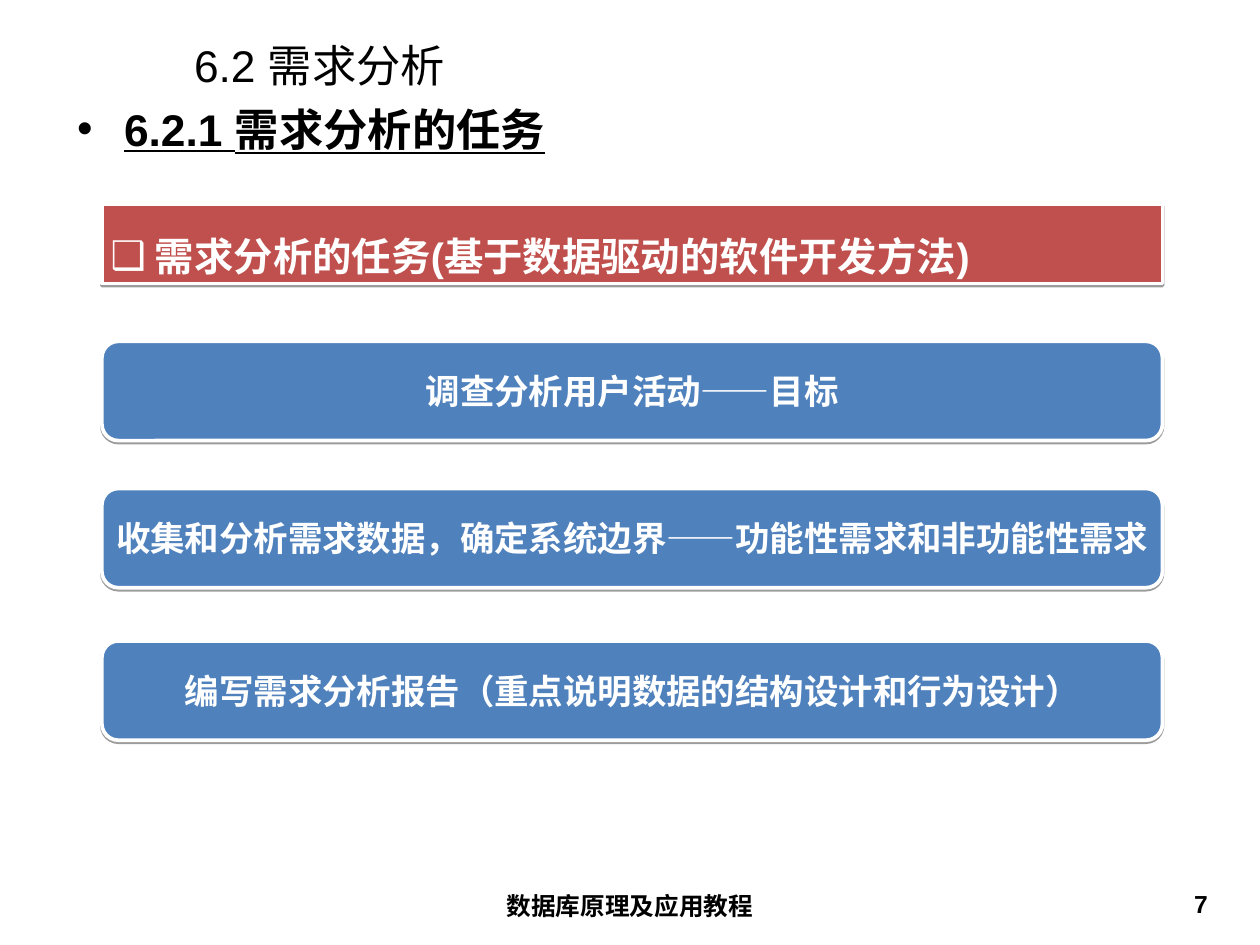
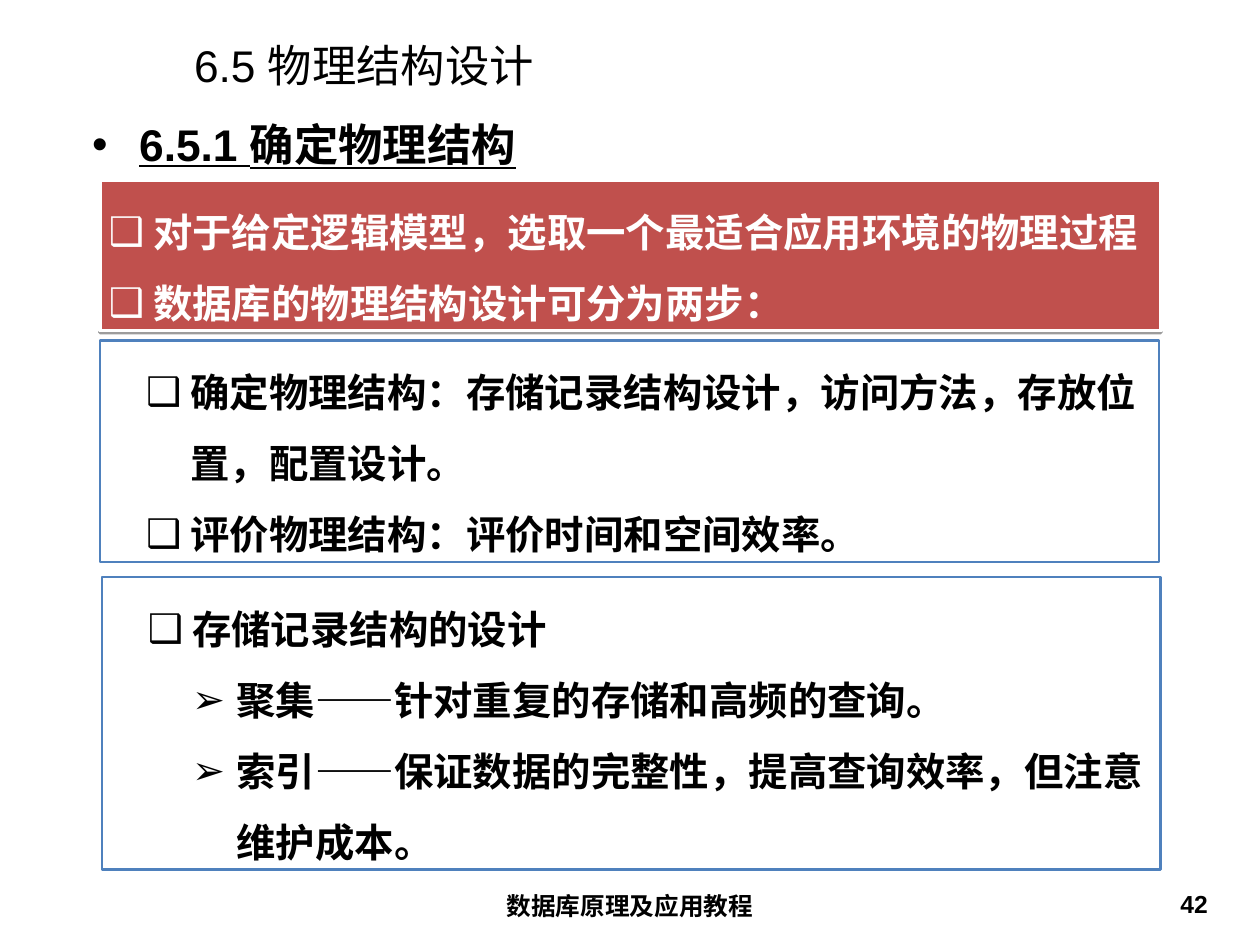
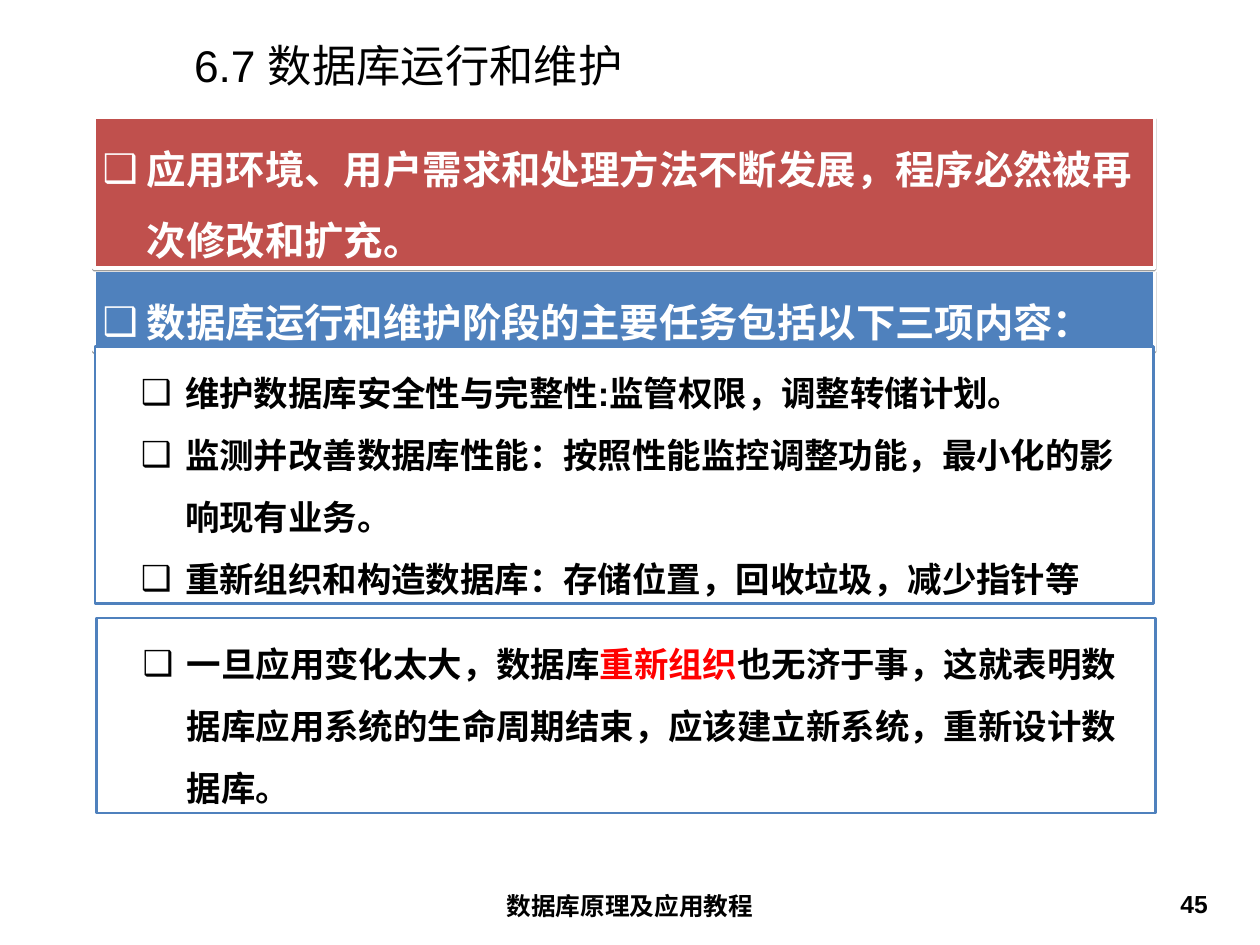
import pptx
import pptx.util
import pptx.dml.color
import pptx.enum.shapes
import pptx.enum.text
import pptx.oxml
from pptx.oxml.ns import nsdecls

Inches = pptx.util.Inches
Pt = pptx.util.Pt
Shape = pptx.enum.shapes.MSO_SHAPE
Align = pptx.enum.text.PP_ALIGN
Anchor = pptx.enum.text.MSO_ANCHOR

BLACK, WHITE = "000000", "FFFFFF"
RED, BLUE, ALERT = "C0504D", "4F81BD", "FF0000"
FOOTER = "数据库原理及应用教程"


def tint(color, code):
    color.rgb = pptx.dml.color.RGBColor.from_string(code)


def write(frame, lines, size, code=BLACK, bold=True, pad=0.1, align=Align.LEFT,
          anchor=Anchor.TOP, wrap=True, space=1, marks="", indents=(), hang=0.5):
    frame.auto_size = pptx.enum.text.MSO_AUTO_SIZE.NONE
    frame.word_wrap = wrap
    frame.vertical_anchor = anchor
    frame.margin_left = frame.margin_right = Inches(pad)
    frame.margin_top = frame.margin_bottom = Inches(pad / 2)
    for index, (level, text) in enumerate(lines):
        para = frame.paragraphs[0] if index == 0 else frame.add_paragraph()
        para.level = level
        para.alignment = align
        para.line_spacing = space
        para.space_before = Pt(0)
        if marks:
            props = para._p.get_or_add_pPr()
            props.set("marL", str(Inches(indents[level])))
            props.set("indent", str(-Inches(hang)))
            for tag in (
                f'<a:buClr {nsdecls("a")}><a:srgbClr val="{code}"/></a:buClr>',
                f'<a:buFont {nsdecls("a")} typeface="Arial"/>',
                f'<a:buChar {nsdecls("a")} char="{marks[level]}"/>',
            ):
                props.append(pptx.oxml.parse_xml(tag))
        font = para.font
        font.name, font.size, font.bold = "Arial", Pt(size), bold
        tint(font.color, code)
        for turn, part in enumerate(text.split("*")):
            run = para.add_run()
            run.text = part
            if turn % 2:
                tint(run.font.color, ALERT)


bars = dict(code=WHITE, space=1.5, marks="❑", indents=(0.5,))
panels = dict(space=1.5, marks="❑➢", indents=(0.92, 1.42))
pills = dict(code=WHITE, pad=0.14, align=Align.CENTER, anchor=Anchor.MIDDLE, wrap=False)
styles = {
    "red": (Shape.RECTANGLE, 11.97, RED, WHITE, 3, bars),
    "blue": (Shape.RECTANGLE, 11.97, BLUE, WHITE, 3, bars),
    "pill": (Shape.FLOWCHART_ALTERNATE_PROCESS, 11.97, BLUE, WHITE, 3, pills),
    "panel": (Shape.RECTANGLE, 11.95, WHITE, BLUE, 2, panels),
}

pages = [
    ("6.2 需求分析", 7, ("6.2.1 需求分析的任务", 0.73, 1.08), [
        ("red", 1.15, 2.3, 0.9, 32, [(0, "需求分析的任务(基于数据驱动的软件开发方法)")]),
        ("pill", 1.15, 3.85, 1.12, 28, [(0, "调查分析用户活动——目标")]),
        ("pill", 1.15, 5.51, 1.12, 28,
         [(0, "收集和分析需求数据，确定系统边界——功能性需求和非功能性需求")]),
        ("pill", 1.15, 7.23, 1.12, 28,
         [(0, "编写需求分析报告（重点说明数据的结构设计和行为设计）")]),
    ]),
    ("6.5 物理结构设计", 42, ("6.5.1 确定物理结构", 0.9, 1.25), [
        ("red", 1.13, 2.03, 1.7, 32, [
            (0, "对于给定逻辑模型，选取一个最适合应用环境的物理过程"),
            (0, "数据库的物理结构设计可分为两步：")]),
        ("panel", 1.13, 3.84, 2.5, 32, [
            (0, "确定物理结构：存储记录结构设计，访问方法，存放位置，配置设计。"),
            (0, "评价物理结构：评价时间和空间效率。")]),
        ("panel", 1.15, 6.51, 3.3, 32, [
            (0, "存储记录结构的设计"),
            (1, "聚集——针对重复的存储和高频的查询。"),
            (1, "索引——保证数据的完整性，提高查询效率，但注意维护成本。")]),
    ]),
    ("6.7 数据库运行和维护", 45, None, [
        ("blue", 1.06, 3.05, 0.9, 32,
         [(0, "数据库运行和维护阶段的主要任务包括以下三项内容：")]),
        ("panel", 1.07, 3.91, 2.9, 28, [
            (0, "维护数据库安全性与完整性:监管权限，调整转储计划。"),
            (0, "监测并改善数据库性能：按照性能监控调整功能，最小化的影响现有业务。"),
            (0, "重新组织和构造数据库：存储位置，回收垃圾，减少指针等")]),
        ("panel", 1.09, 6.97, 2.2, 28,
         [(0, "一旦应用变化太大，数据库*重新组织*也无济于事，这就表明数据库应用系统的"
              "生命周期结束，应该建立新系统，重新设计数据库。")]),
        ("red", 1.06, 1.32, 1.7, 32,
         [(0, "应用环境、用户需求和处理方法不断发展，程序必然被再次修改和扩充。")]),
    ]),
]

deck = pptx.Presentation()
deck.slide_width, deck.slide_height = Inches(14.22), Inches(10.66)

for name, number, topic, boxes in pages:
    slide = deck.slides.add_slide(deck.slide_layouts[1 if topic else 5])
    title = slide.shapes.title
    title.left, title.top = Inches(2.05), Inches(0.45)
    title.width, title.height = Inches(11.83), Inches(0.57)
    write(title.text_frame, [(0, name)], 36, bold=False, pad=0.14, anchor=Anchor.MIDDLE)

    if topic:
        text, left, top = topic
        body = slide.placeholders[1]
        body.left, body.top = Inches(left), Inches(top)
        body.width, body.height = Inches(12.8), Inches(0.89)
        write(body.text_frame, [(0, text)], 36, pad=0.14,
              marks="•", indents=(0.53,), hang=0.53)
        body.text_frame.paragraphs[0].font.underline = True

    for text, left, width, pad, align in (
        (FOOTER, 4.86, 4.5, 0.14, Align.CENTER),
        (str(number), 10.41, 3.32, 0.1, Align.RIGHT),
    ):
        note = slide.shapes.add_textbox(Inches(left), Inches(9.98), Inches(width), Inches(0.55))
        write(note.text_frame, [(0, text)], 20, pad=pad, align=align)

    for kind, left, top, height, size, lines in boxes:
        form, width, fill, edge, weight, look = styles[kind]
        box = slide.shapes.add_shape(form, Inches(left), Inches(top), Inches(width), Inches(height))
        box.fill.solid()
        tint(box.fill.fore_color, fill)
        tint(box.line.color, edge)
        box.line.width = Pt(weight)
        box.shadow.inherit = False
        if kind != "panel":
            effects = box.element.spPr.find(pptx.oxml.ns.qn("a:effectLst"))
            effects.append(pptx.oxml.parse_xml(
                f'<a:outerShdw {nsdecls("a")} dist="{Pt(1.6)}" dir="5400000" rotWithShape="0">'
                f'<a:srgbClr val="{BLACK}"><a:alpha val="38000"/></a:srgbClr></a:outerShdw>'))
        write(box.text_frame, lines, size, **look)

deck.save("out.pptx")
